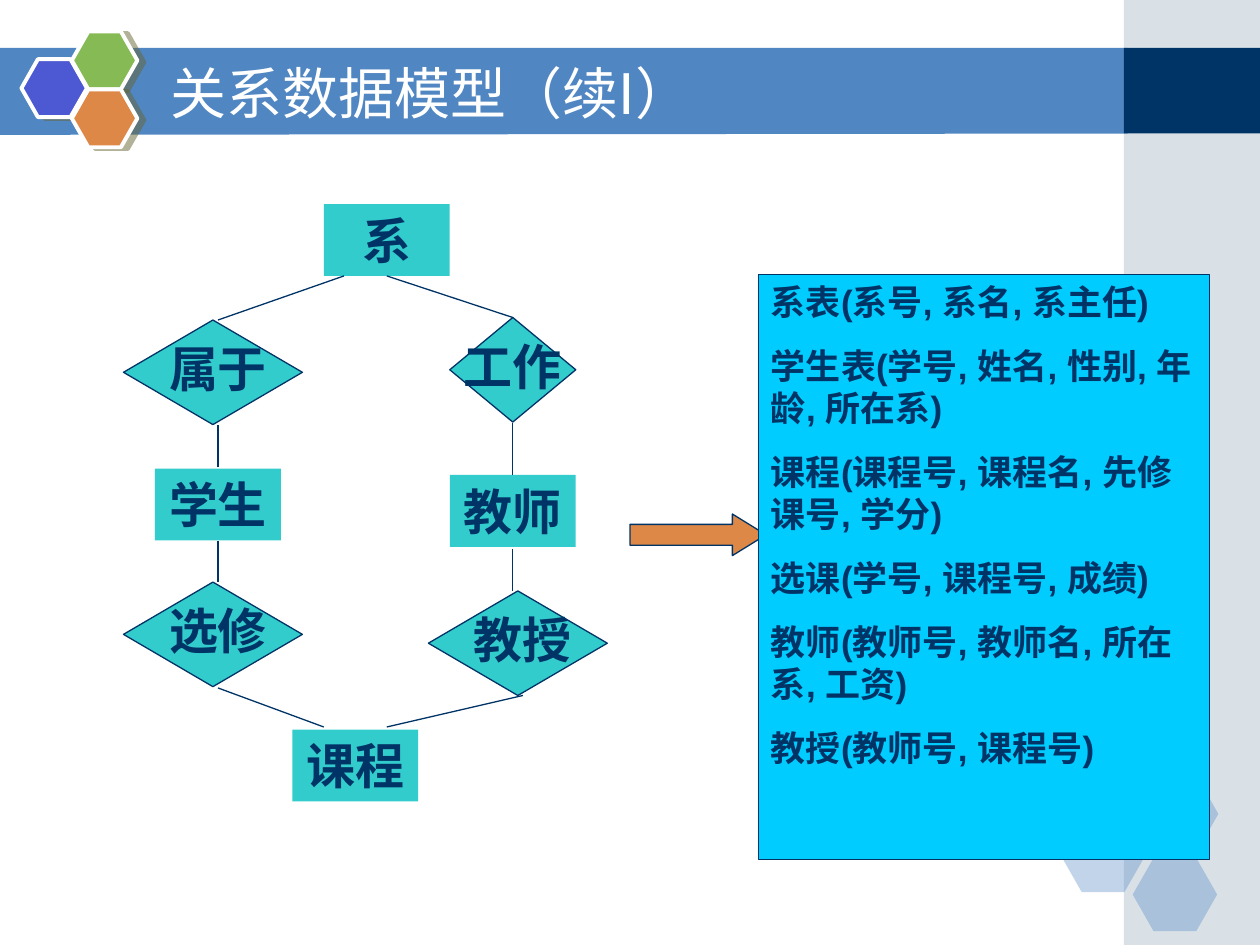
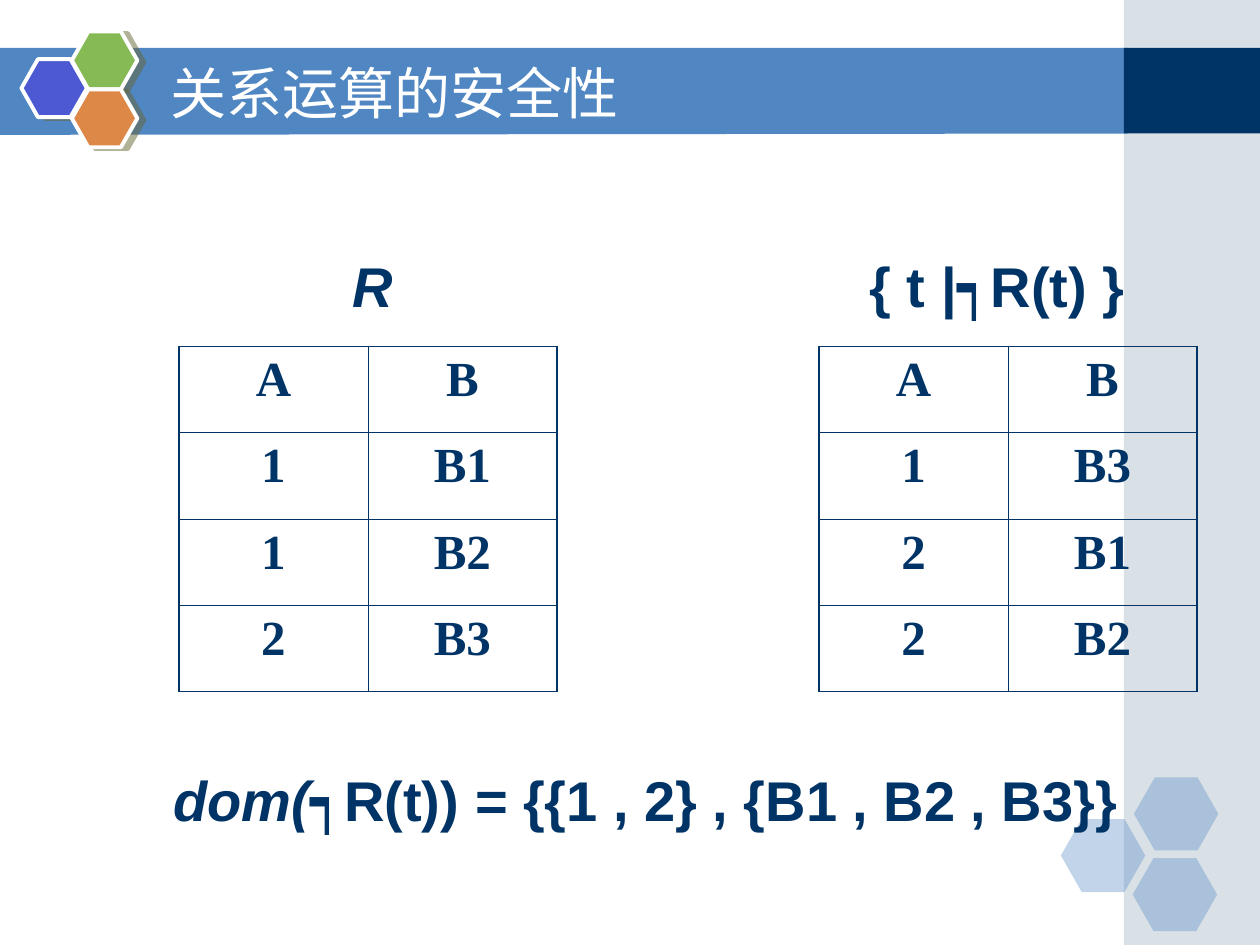
from lxml.etree import SubElement
from pptx import Presentation
from pptx.dml.color import RGBColor
from pptx.enum.shapes import MSO_CONNECTOR, MSO_SHAPE as Preset
from pptx.enum.text import MSO_ANCHOR, MSO_AUTO_SIZE, PP_ALIGN
from pptx.oxml.ns import qn
from pptx.util import Inches, Pt

NAVY = "003366"
BLUE = "5086C2"
MIST = "A0B5C4"
TEAL = "33CCCC"
CYAN = "00CCFF"
ORANGE = "DE8848"
GREEN = "85BA54"
VIOLET = "4C59D2"
OLIVE = "666633"
WHITE = "FFFFFF"

SCHEMAS = [
    "系表(系号, 系名, 系主任)",
    "学生表(学号, 姓名, 性别, 年龄, 所在系)",
    "课程(课程号, 课程名, 先修课号, 学分)",
    "选课(学号, 课程号, 成绩)",
    "教师(教师号, 教师名, 所在系, 工资)",
    "教授(教师号, 课程号)",
]
ENTITIES = [
    ("系", 2.57, 1.62),
    ("学生", 1.23, 3.72),
    ("教师", 3.57, 3.77),
    ("课程", 2.32, 5.79),
]
RELATIONSHIPS = [
    ("属于", 0.98, 2.54, 1.42, 1.73),
    ("选修", 0.98, 4.62, 1.42, 1.73),
    ("工作", 3.57, 2.52, 1, 4.07),
    ("教授", 3.4, 4.69, 1.42, 4.15),
]
LINKS = [
    (1.73, 2.54, 2.73, 2.19),
    (1.73, 3.71, 1.73, 3.37),
    (1.73, 4.62, 1.73, 4.29),
    (2.57, 5.77, 1.73, 5.46),
    (4.07, 2.52, 3.07, 2.19),
    (4.07, 3.36, 4.07, 3.77),
    (4.07, 4.69, 4.07, 4.36),
    (4.15, 5.52, 3.07, 5.77),
]
RELATION_R = [("A", "B"), ("1", "B1"), ("1", "B2"), ("2", "B3")]
COMPLEMENT = [("A", "B"), ("1", "B3"), ("2", "B1"), ("2", "B2")]


def rgb(value):
    return RGBColor.from_string(value)


def box(left, top, width, height):
    return Inches(left), Inches(top), Inches(width), Inches(height)


def paint(shape, fill, line=None, line_width=0.75, opacity=None):
    shape.shadow.inherit = False
    shape.fill.solid()
    shape.fill.fore_color.rgb = rgb(fill)
    if opacity is not None:
        color = shape.fill._xPr.find(".//" + qn("a:srgbClr"))
        SubElement(color, qn("a:alpha"), val=str(opacity * 1000))
    if line:
        shape.line.color.rgb = rgb(line)
        shape.line.width = Pt(line_width)
    else:
        shape.line.fill.background()


def add_preset(slide, preset, place, fill, **style):
    shape = slide.shapes.add_shape(preset, *box(*place))
    paint(shape, fill, **style)
    return shape


def style_font(paragraph, size, color=NAVY, name="Arial", bold=True):
    font = paragraph.font
    font.size, font.name, font.bold = Pt(size), name, bold
    font.color.rgb = rgb(color)


def write(frame, lines, size, align=PP_ALIGN.CENTER, gap=0):
    frame.word_wrap = True
    frame.vertical_anchor = MSO_ANCHOR.TOP
    for index, line in enumerate(lines):
        paragraph = frame.paragraphs[0] if index == 0 else frame.add_paragraph()
        paragraph.text = line
        paragraph.alignment = align
        if index:
            paragraph.space_before = Pt(gap)
        style_font(paragraph, size)


def add_label(slide, text, place):
    label = slide.shapes.add_textbox(*box(*place))
    write(label.text_frame, [text], 28)


def add_formula(slide, parts, place):
    frame = slide.shapes.add_textbox(*box(*place)).text_frame
    frame.word_wrap = True
    paragraph = frame.paragraphs[0]
    paragraph.alignment = PP_ALIGN.CENTER
    style_font(paragraph, 32)
    for text, italic in parts:
        run = paragraph.add_run()
        run.text = text
        run.font.italic = italic


def add_hexagon(slide, place, fill, **style):
    hexagon = add_preset(slide, Preset.HEXAGON, place, fill, **style)
    hexagon.adjustments[0] = 0.285
    return hexagon


def add_emblem_cell(slide, left, top, fill):
    cell = add_hexagon(slide, (left, top, 0.52, 0.46), fill, line=WHITE, line_width=2.25)
    effects = cell.element.spPr.find(qn("a:effectLst"))
    shadow = SubElement(effects, qn("a:outerShdw"), dist=str(Pt(4.1)),
                        dir=str(14 * 60000), algn="ctr", rotWithShape="0")
    color = SubElement(shadow, qn("a:srgbClr"), val=OLIVE)
    SubElement(color, qn("a:alpha"), val="50000")


def add_backdrop(slide):
    band = slide.shapes.build_freeform(0, Inches(0.38))
    corners = [(8.95, 0.38), (8.95, 1.06), (0, 1.07)]
    band.add_line_segments([(Inches(x), Inches(y)) for x, y in corners])
    paint(band.convert_to_shape(), BLUE)
    add_preset(slide, Preset.RECTANGLE, (8.92, 0, 1.08, 7.5), MIST, opacity=40)
    add_preset(slide, Preset.RECTANGLE, (8.92, 0.38, 1.08, 0.68), NAVY)
    for left, top in [(8.42, 6.5), (9, 6.17), (8.99, 6.81)]:
        add_hexagon(slide, (left, top, 0.67, 0.58), BLUE, opacity=35)
    for left, top, fill in [(0.17, 0.47, VIOLET), (0.57, 0.25, GREEN), (0.57, 0.71, ORANGE)]:
        add_emblem_cell(slide, left, top, fill)


def add_titled_slide(deck, text):
    slide = deck.slides.add_slide(deck.slide_layouts[5])
    add_backdrop(slide)
    title = slide.shapes.title
    title.element.getparent().append(title.element)
    title.left, title.top, title.width, title.height = box(1.25, 0.42, 7.33, 0.62)
    frame = title.text_frame
    frame.text = text
    frame.auto_size = MSO_AUTO_SIZE.NONE
    frame.vertical_anchor = MSO_ANCHOR.MIDDLE
    heading = frame.paragraphs[0]
    heading.alignment = PP_ALIGN.LEFT
    style_font(heading, 32, WHITE, "DejaVu Sans", False)
    return slide


def add_entity(slide, text, left, top):
    entity = add_preset(slide, Preset.RECTANGLE, (left, top, 1, 0.57), TEAL)
    write(entity.text_frame, [text], 28)


def add_relationship(slide, text, left, top, width, label_center):
    add_preset(slide, Preset.DIAMOND, (left, top, width, 0.83), TEAL, line=NAVY)
    add_label(slide, text, (label_center - 0.75, top + 0.1, 1.5, 0.57))


def add_link(slide, *ends):
    link = slide.shapes.add_connector(MSO_CONNECTOR.STRAIGHT, *box(*ends))
    link.line.color.rgb = rgb(NAVY)
    link.line.width = Pt(0.75)
    SubElement(link.element.spPr, qn("a:effectLst"))


def set_border(cell, side, width):
    border = SubElement(cell._tc.get_or_add_tcPr(), qn("a:" + side), w=str(Pt(width)))
    fill = SubElement(border, qn("a:solidFill"))
    SubElement(fill, qn("a:srgbClr"), val=NAVY)


def add_relation(slide, left, rows):
    last_row, last_column = len(rows) - 1, len(rows[0]) - 1
    table = slide.shapes.add_table(len(rows), len(rows[0]), *box(left, 2.75, 3, 2.74)).table
    table.first_row = table.horz_banding = False
    for r, values in enumerate(rows):
        for c, value in enumerate(values):
            cell = table.cell(r, c)
            cell.text = value
            outer_sides = {"lnL": c == 0, "lnR": c == last_column,
                           "lnT": r == 0, "lnB": r == last_row}
            for side, outer in outer_sides.items():
                set_border(cell, side, 1.08 if outer else 0.45)
            cell.fill.background()
            paragraph = cell.text_frame.paragraphs[0]
            paragraph.alignment = PP_ALIGN.CENTER
            style_font(paragraph, 28, name="Times New Roman")


def build_model_slide(deck):
    slide = add_titled_slide(deck, "关系数据模型（续I）")
    arrow = add_preset(slide, Preset.RIGHT_ARROW, (5, 4.08, 1.08, 0.33), ORANGE, line=NAVY)
    arrow.adjustments[1] = 0.81
    schema_panel = add_preset(slide, Preset.RECTANGLE, (6.02, 2.18, 3.58, 4.64), CYAN, line=NAVY)
    write(schema_panel.text_frame, SCHEMAS, 20, PP_ALIGN.LEFT, 12.5)
    for entity in ENTITIES:
        add_entity(slide, *entity)
    for relationship in RELATIONSHIPS:
        add_relationship(slide, *relationship)
    for link in LINKS:
        add_link(slide, *link)


def build_safety_slide(deck):
    slide = add_titled_slide(deck, "关系运算的安全性")
    add_relation(slide, 1.42, RELATION_R)
    add_relation(slide, 6.5, COMPLEMENT)
    add_formula(slide, [("R", True)], (2.42, 1.95, 1.08, 0.64))
    add_formula(slide, [("{ t |", False), ("┑", True), ("R(t) }", False)],
                (6.33, 1.95, 3.17, 0.64))
    add_formula(slide, [("dom(┑", True), ("R(t)) ", False), ("= ", True),
                        ("{{1 , 2} , {B1 , B2 , B3}}", False)],
                (0.75, 6.03, 8.75, 0.64))


def main():
    deck = Presentation()
    deck.slide_width, deck.slide_height = Inches(10), Inches(7.5)
    build_model_slide(deck)
    build_safety_slide(deck)
    deck.save("out.pptx")


if __name__ == "__main__":
    main()
